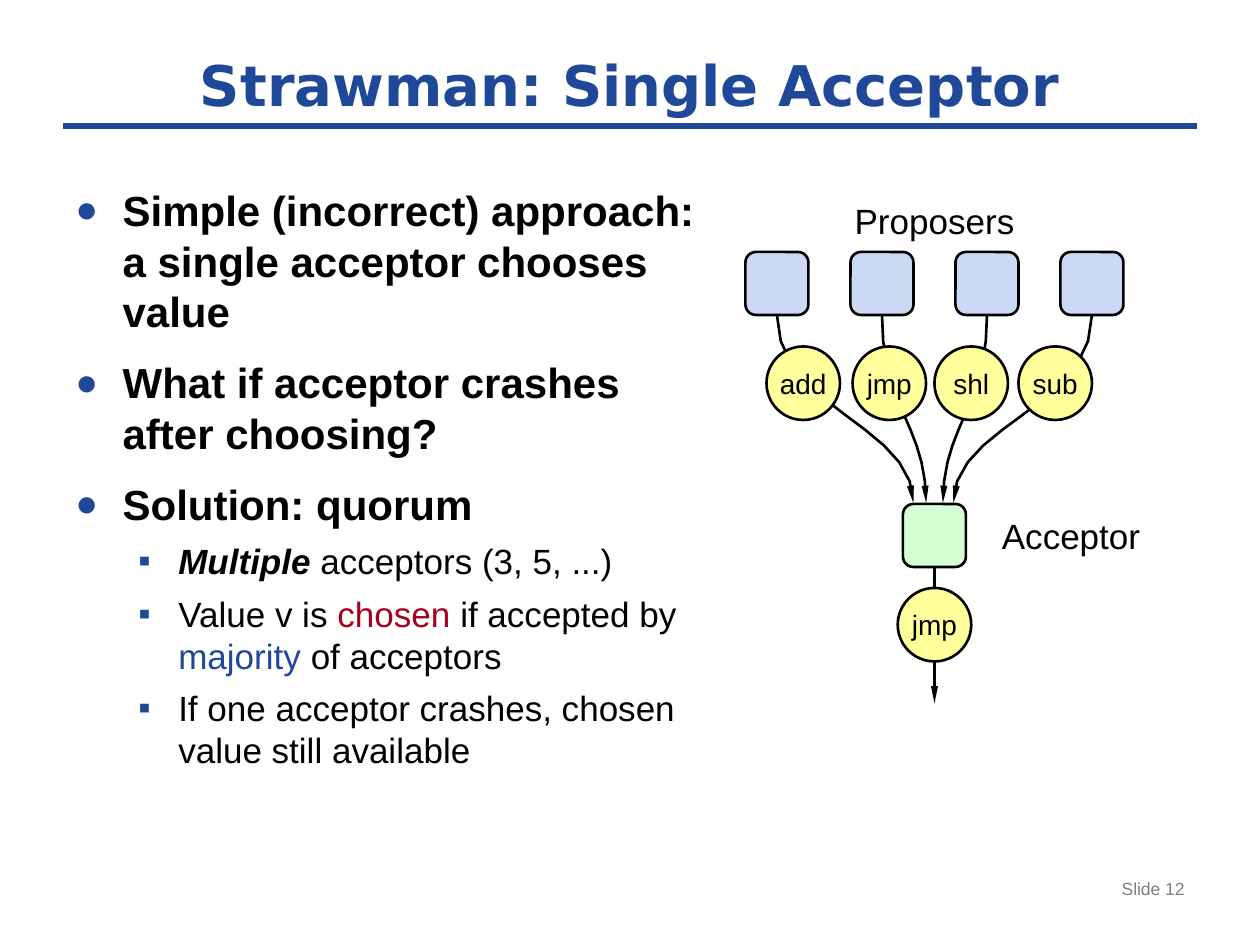
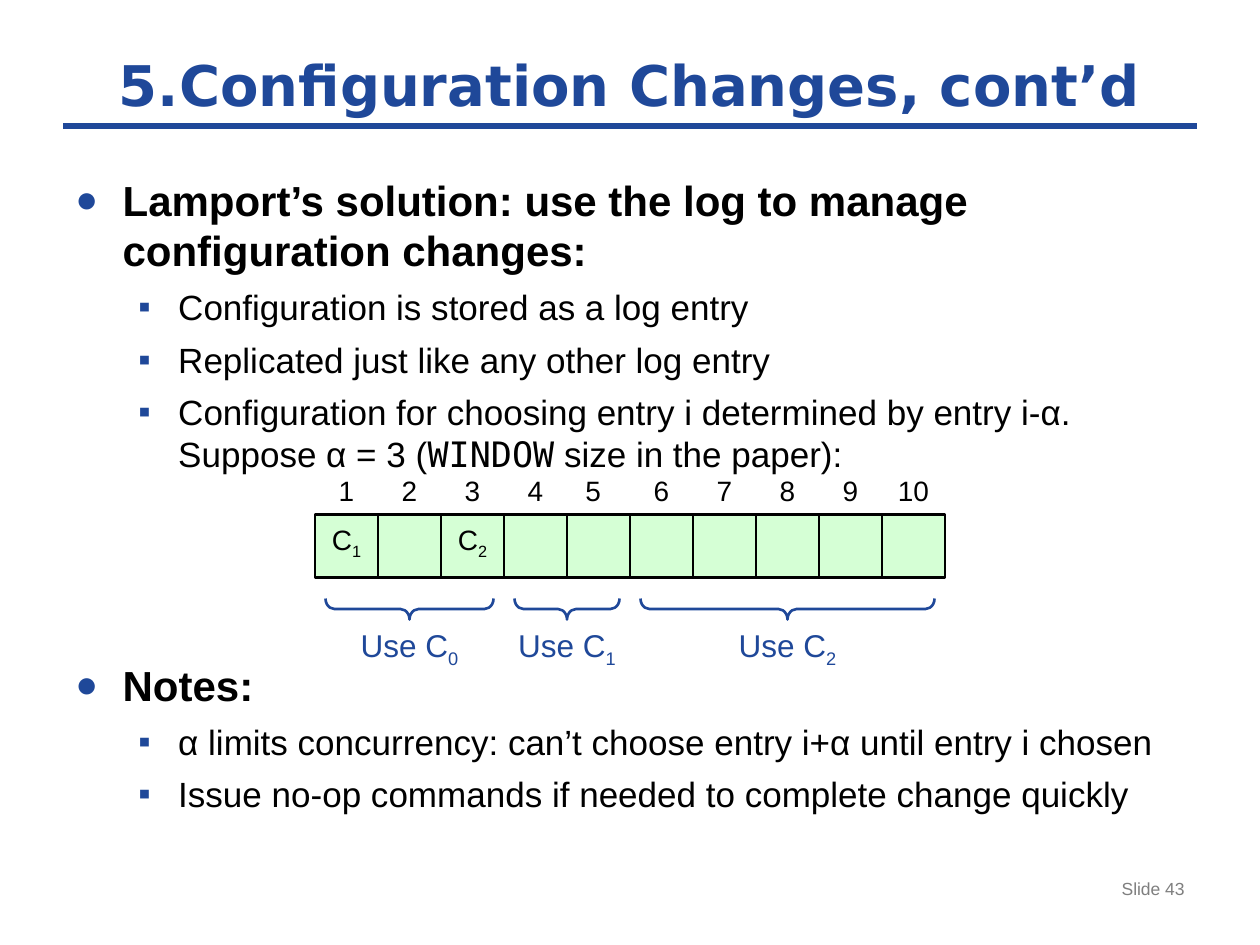
from typing import NamedTuple

from lxml import etree
from pptx import Presentation
from pptx import util as u
from pptx.dml.color import RGBColor
from pptx.enum import shapes as es, text as et
from pptx.oxml.ns import qn

PX = 7620  # EMU per px, 120 px to the inch
HUE = {"blue": "1F4899", "red": "A5001E", "black": "000000", "gray": "7F7F7F",
       "sky": "CCD9F4", "mint": "D5FFD5", "lemon": "FFFF9B"}
SANS, HEAD, MONO = "Arial", "DejaVu Sans", "DejaVu Sans Mono"
KIND, ALIGN, ANCHOR = es.MSO_SHAPE, et.PP_ALIGN, et.MSO_ANCHOR


class Box(NamedTuple):
    x: int
    y: int
    w: int
    h: int


class Run(NamedTuple):
    text: str
    hue: str = ""
    face: str = ""
    strong: bool = False
    sub: bool = False


class Style(NamedTuple):
    size: int
    hue: str = "black"
    face: str = SANS
    bold: bool = False
    align: et.PP_ALIGN = ALIGN.CENTER


class Level(NamedTuple):
    mark: str
    scale: int
    left: int
    hang: int
    gap: int
    style: Style


class Item(NamedTuple):
    level: int
    runs: list[Run]


class Span(NamedTuple):
    first: int
    count: int
    sub: str


LEVELS = [
    Level("●", 90, 45, 45, 12, Style(24, bold=True, align=ALIGN.LEFT)),
    Level("▪", 100, 98, 38, 6, Style(20, align=ALIGN.LEFT)),
]
TITLE = Style(32, "blue", HEAD, True)
FOOT = Style(10, "gray", align=ALIGN.RIGHT)
LABEL, SMALL, USE = Style(20), Style(16), Style(18, "blue")


def rgb(hue: str) -> RGBColor:
    return RGBColor.from_string(HUE[hue])


def emu(box: Box) -> list[int]:
    return [u.Emu(side * PX) for side in box]


# Text
def fill_par(par, runs: list[Run], style: Style) -> None:
    par.alignment = style.align
    font = par.font
    font.size, font.name, font.bold = u.Pt(style.size), style.face, style.bold
    font.color.rgb = rgb(style.hue)
    for run in runs:
        for row, line in enumerate(run.text.split("\n")):
            if row:
                par.add_line_break()
            part = par.add_run()
            part.text = line
            if run.hue:
                part.font.color.rgb = rgb(run.hue)
            if run.face:
                part.font.name = run.face
            if run.strong:
                part.font.bold = part.font.italic = True
            if run.sub:
                part._r.get_or_add_rPr().set("baseline", "-25000")


def set_inset(frame, inset: int) -> None:
    frame.margin_left = frame.margin_right = u.Emu(inset * PX)
    frame.margin_top = frame.margin_bottom = u.Emu(inset * PX)


def add_text(slide, box: Box, runs: list[Run], style: Style,
             anchor=ANCHOR.TOP, flush: bool = False) -> None:
    frame = slide.shapes.add_textbox(*emu(box)).text_frame
    frame.word_wrap = True
    frame.vertical_anchor = anchor
    if flush:
        set_inset(frame, 0)
    fill_par(frame.paragraphs[0], runs, style)


def add_mark(par, level: Level) -> None:
    prop = par._p.get_or_add_pPr()
    prop.set("marL", str(level.left * PX))
    prop.set("indent", str(-level.hang * PX))
    tint = etree.SubElement(prop, qn("a:buClr"))
    etree.SubElement(tint, qn("a:srgbClr"), val=HUE["blue"])
    etree.SubElement(prop, qn("a:buSzPct"), val=str(level.scale * 1000))
    etree.SubElement(prop, qn("a:buFont"), typeface=SANS)
    etree.SubElement(prop, qn("a:buChar"), char=level.mark)


def add_list(slide, box: Box, items: list[Item]) -> None:
    frame = slide.shapes.add_textbox(*emu(box)).text_frame
    frame.word_wrap = True
    for num, item in enumerate(items):
        par = frame.add_paragraph() if num else frame.paragraphs[0]
        level = LEVELS[item.level]
        add_mark(par, level)
        par.level = item.level
        par.space_before = u.Pt(level.gap)
        fill_par(par, item.runs, level.style)


# Shapes and lines
def add_node(slide, kind, box: Box, fill: str, runs: list[Run] = [],
             lead: int = 0):
    node = slide.shapes.add_shape(kind, *emu(box))
    node.shadow.inherit = False
    node.fill.solid()
    node.fill.fore_color.rgb = rgb(fill)
    ink(node.line)
    if runs:
        frame = node.text_frame
        frame.vertical_anchor = ANCHOR.MIDDLE
        set_inset(frame, 0)
        par = frame.paragraphs[0]
        if lead:
            par.line_spacing = u.Pt(lead)
        fill_par(par, runs, SMALL)
    return node


def ink(line, hue: str = "black", width: float = 1.5) -> None:
    line.color.rgb = rgb(hue)
    line.width = u.Pt(width)


def add_tip(line) -> None:
    etree.SubElement(line._get_or_add_ln(), qn("a:tailEnd"),
                     type="triangle", w="sm", len="lg")


def add_line(slide, start: tuple[int, int], end: tuple[int, int],
             hue: str = "black", width: float = 1.5):
    ends = [u.Emu(side * PX) for side in start + end]
    line = slide.shapes.add_connector(es.MSO_CONNECTOR.STRAIGHT, *ends)
    ink(line.line, hue, width)
    etree.SubElement(line._element.spPr, qn("a:effectLst"))
    return line


def add_curve(slide, knots: list[tuple[int, int]], steps: int = 10) -> None:
    pts = []
    for step in range(steps + 1):
        t = step / steps
        mix = ((1 - t) ** 3, 3 * t * (1 - t) ** 2, 3 * t * t * (1 - t), t ** 3)
        pts.append(tuple(round(PX * sum(m * k[axis] for m, k in zip(mix, knots)))
                         for axis in (0, 1)))
    form = slide.shapes.build_freeform(*pts[0])
    form.add_line_segments(pts[1:], close=False)
    curve = form.convert_to_shape()
    curve.shadow.inherit = False
    curve.fill.background()
    ink(curve.line)
    add_tip(curve.line)


# Shared frame: title, rule and slide number
def add_slide(deck, title: str, num: int):
    slide = deck.slides.add_slide(deck.slide_layouts[6])
    add_line(slide, (60, 120), (1140, 120), "blue", 4)
    add_text(slide, Box(60, 40, 1080, 80), [Run(title)], TITLE, ANCHOR.MIDDLE)
    add_text(slide, Box(860, 830, 280, 52), [Run(f"Slide {num}")], FOOT)
    return slide


def draw_straw(deck) -> None:
    slide = add_slide(deck, "Strawman: Single Acceptor", 12)
    add_list(slide, Box(60, 170, 620, 630), [
        Item(0, [Run("Simple (incorrect) approach: a single acceptor chooses value")]),
        Item(0, [Run("What if acceptor crashes after choosing?")]),
        Item(0, [Run("Solution: quorum")]),
        Item(1, [Run("Multiple", strong=True), Run(" acceptors (3, 5, ...)")]),
        Item(1, [Run("Value v is "), Run("chosen", "red"), Run(" if accepted by "),
                 Run("majority", "blue"), Run(" of acceptors")]),
        Item(1, [Run("If one acceptor crashes, chosen value still available")]),
    ])

    # Proposers feed one acceptor
    side, ball = 60, 70
    add_text(slide, Box(810, 190, 160, 41), [Run("Proposers")], LABEL, flush=True)
    add_text(slide, Box(940, 490, 160, 41), [Run("Acceptor")], LABEL, flush=True)
    goal = add_node(slide, KIND.ROUNDED_RECTANGLE, Box(860, 480, side, side), "mint")
    for col, tip in enumerate((870, 882, 898, 908)):
        left = 710 + 100 * col
        mid = left + side // 2
        add_node(slide, KIND.ROUNDED_RECTANGLE, Box(left, 240, side, side), "sky")
        add_curve(slide, [(mid, 300), (mid, 390), (tip, 404), (tip, 479)])
    line = add_line(slide, (890, 540), (890, 670))
    line.begin_connect(goal, 2)
    add_tip(line.line)

    # Proposed values and the chosen one
    for name, x, y in (("add", 730, 330), ("jmp", 812, 330), ("shl", 890, 330),
                       ("sub", 970, 330), ("jmp", 855, 560)):
        add_node(slide, KIND.OVAL, Box(x, y, ball, ball), "lemon", [Run(name)])


def draw_config(deck) -> None:
    slide = add_slide(deck, "5.Configuration Changes, cont’d", 43)
    add_list(slide, Box(60, 160, 1080, 300), [
        Item(0, [Run("Lamport’s solution: use the log to manage configuration changes:")]),
        Item(1, [Run("Configuration is stored as a log entry")]),
        Item(1, [Run("Replicated just like any other log entry")]),
        Item(1, [Run("Configuration for choosing entry i determined by entry i-α.\n"
                     "Suppose α = 3 ("),
                 Run("WINDOW", face=MONO), Run(" size in the paper):")]),
    ])
    add_list(slide, Box(60, 622, 1080, 218), [
        Item(0, [Run("Notes:")]),
        Item(1, [Run("α limits concurrency: can’t choose entry i+α until entry i chosen")]),
        Item(1, [Run("Issue no-op commands if needed to complete change quickly")]),
    ])

    # Log entries
    left, cell = 300, 60
    subs = {1: "1", 3: "2"}
    for num in range(1, 11):
        x = left + cell * (num - 1)
        runs = [Run("C"), Run(subs[num], sub=True)] if num in subs else []
        add_node(slide, KIND.RECTANGLE, Box(x, 490, cell, cell), "mint", runs, 17)
        wide = 50 if num == 5 else cell
        add_text(slide, Box(x, 445, wide, 44), [Run(str(num))], SMALL)

    # Braces: tall shapes turned on their side
    thick, mid = 20, 580
    for span in (Span(0, 3, "0"), Span(3, 2, "1"), Span(5, 5, "2")):
        size = cell * span.count - 20
        x = left + cell * span.first + cell * span.count // 2
        box = Box(x - thick // 2, mid - size // 2, thick, size)
        brace = slide.shapes.add_shape(KIND.LEFT_BRACE, *emu(box))
        brace.rotation = 270
        brace.adjustments[0] = 0.43
        brace.shadow.inherit = False
        brace.fill.background()
        ink(brace.line, "blue")
        add_text(slide, Box(x - 90, 590, 180, 48),
                 [Run("Use C"), Run(span.sub, sub=True)], USE)


def main() -> None:
    deck = Presentation()
    deck.slide_width, deck.slide_height = u.Emu(1200 * PX), u.Emu(900 * PX)
    draw_straw(deck)
    draw_config(deck)
    deck.save("out.pptx")


if __name__ == "__main__":
    main()
